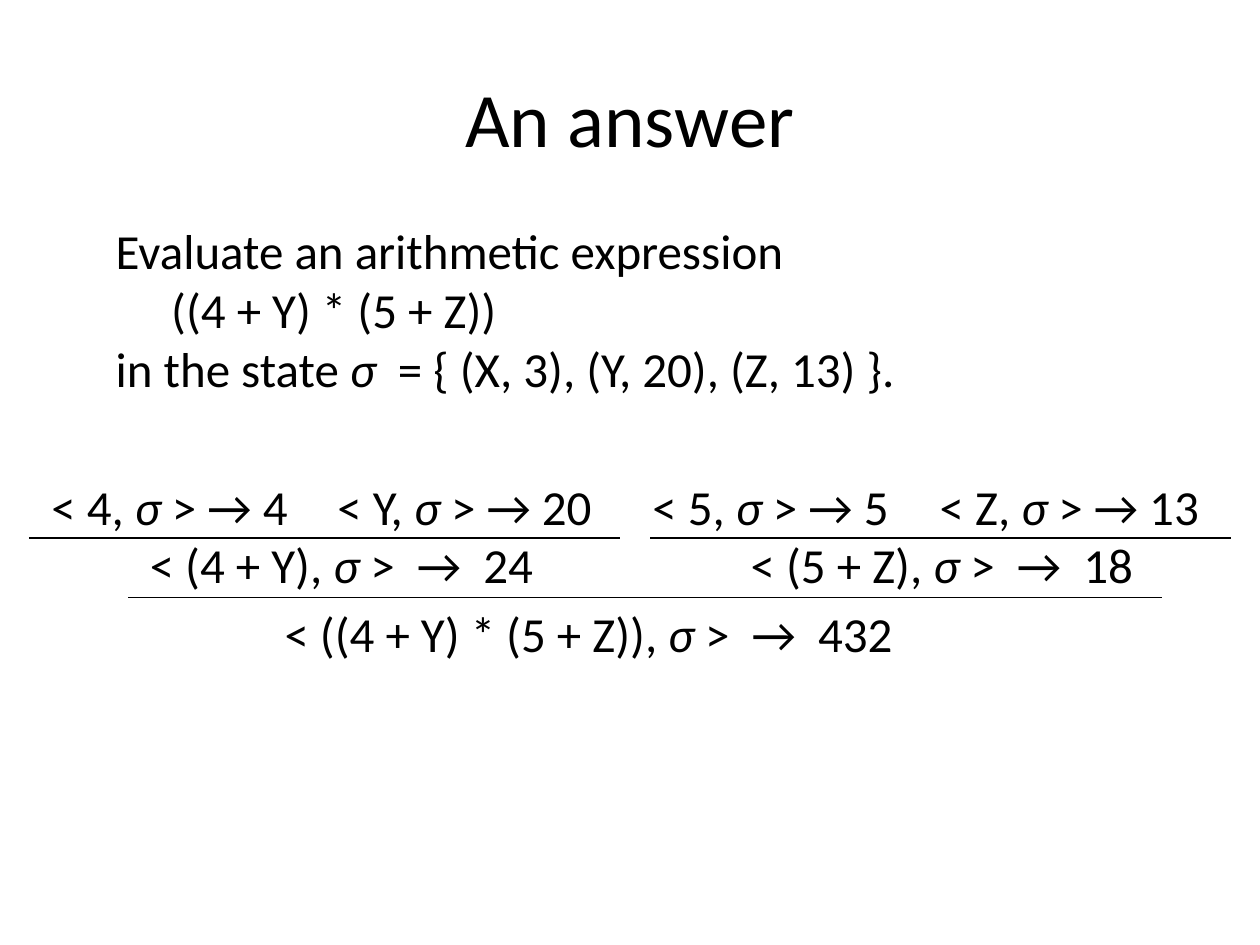
from pptx import Presentation
from pptx.dml.color import RGBColor as Rgb
from pptx.enum.shapes import MSO_CONNECTOR as Link
from pptx.enum.text import MSO_ANCHOR as Anchor, MSO_AUTO_SIZE as Auto, PP_ALIGN as Align
from pptx.util import Inches, Pt
from lxml.etree import SubElement

HUES = {"ink": "000000", "page": "FFFFFF"}
FONT = "Calibri"
NS = "{http://schemas.openxmlformats.org/drawingml/2006/main}"
WIDE, HIGH = Inches(10), Inches(7.5)
COLS, ROWS = 100, 75
LINE = 5.7


def col(n):
    return round(WIDE * n / COLS)


def row(n):
    return round(HIGH * n / ROWS)


def place(box):
    x, y, w, h = box
    return col(x), row(y), col(w), row(h)


def add_run(para, text, size=28, slant=False):
    run = para.add_run()
    run.text = text
    font = run.font
    font.name, font.size, font.italic = FONT, Pt(size), slant
    font.color.rgb = Rgb.from_string(HUES["ink"])


def add_text(slide, box, lines):
    frame = slide.shapes.add_textbox(*place(box)).text_frame
    frame.word_wrap = False
    frame.auto_size = Auto.SHAPE_TO_FIT_TEXT
    for i, (inset, runs) in enumerate(lines):
        para = frame.paragraphs[0] if i == 0 else frame.add_paragraph()
        if inset:
            para._p.get_or_add_pPr().set("marL", str(col(inset)))
        for text, slant in runs:
            add_run(para, text, slant=slant)


def add_rule(slide, x, y, w):
    rule = slide.shapes.add_connector(Link.STRAIGHT, col(x), row(y), col(x + w), row(y))
    rule.line.color.rgb = Rgb.from_string(HUES["ink"])
    rule.line.width = Pt(0.75)
    SubElement(rule._element.spPr, NS + "effectLst")


def add_claim(slide, x, y, w, term, value):
    runs = [(f"< {term}, ", False), ("σ ", True), (value, False)]
    add_text(slide, (x, y, w, LINE), [(0, runs)])


def add_title(slide, box, text):
    title = slide.shapes.title
    title.left, title.top, title.width, title.height = place(box)
    frame = title.text_frame
    frame.vertical_anchor = Anchor.MIDDLE
    para = frame.paragraphs[0]
    para.alignment = Align.CENTER
    add_run(para, text, size=44)


def add_task(slide, box):
    add_text(slide, box, [
        (0, [("Evaluate an arithmetic expression", False)]),
        (4.4, [("((4 + Y) * (5 + Z))", False)]),
        (0, [("in the state ", False), ("σ  ", True),
             ("= { (X, 3), (Y, 20), (Z, 13) }.", False)]),
    ])


def add_branch(slide, box, tops, base):
    x, y, w, h = box
    for dx, wide, term, value in tops:
        add_claim(slide, x + dx, y, wide, term, f"> → {value}")
    add_rule(slide, x, y + h / 2, w)
    dx, wide, term, value = base
    add_claim(slide, x + dx, y + 4.6, wide, term, f">  →  {value}")


def add_proof(slide, box):
    x, y, w, h = box
    step = h * 0.64
    add_branch(slide, (x, y, 46.9, 10.8),
               [(0.8, 21.6, "4", 4), (23.5, 23.1, "Y", 20)],
               (8.6, 34.8, "(4 + Y)", 24))
    add_branch(slide, (x + w - 46.1, y, 46.1, 10.8),
               [(-0.8, 21.6, "5", 5), (22, 23.5, "Z", 13)],
               (7, 33.4, "(5 + Z)", 18))
    add_rule(slide, x + 7.9, y + step, 82)
    add_claim(slide, x + 19.3, y + step, 53.8, "((4 + Y) * (5 + Z))", ">  →  432")


def main():
    deck = Presentation()
    deck.slide_width, deck.slide_height = WIDE, HIGH
    slide = deck.slides.add_slide(deck.slide_layouts[5])
    fill = slide.background.fill
    fill.solid()
    fill.fore_color.rgb = Rgb.from_string(HUES["page"])
    add_title(slide, (5, 3, 90, 12.5), "An answer")
    add_task(slide, (8.2, 17, 65.8, 15.1))
    add_proof(slide, (2.3, 37.3, 95.4, 15.8))
    deck.save("out.pptx")


if __name__ == "__main__":
    main()
